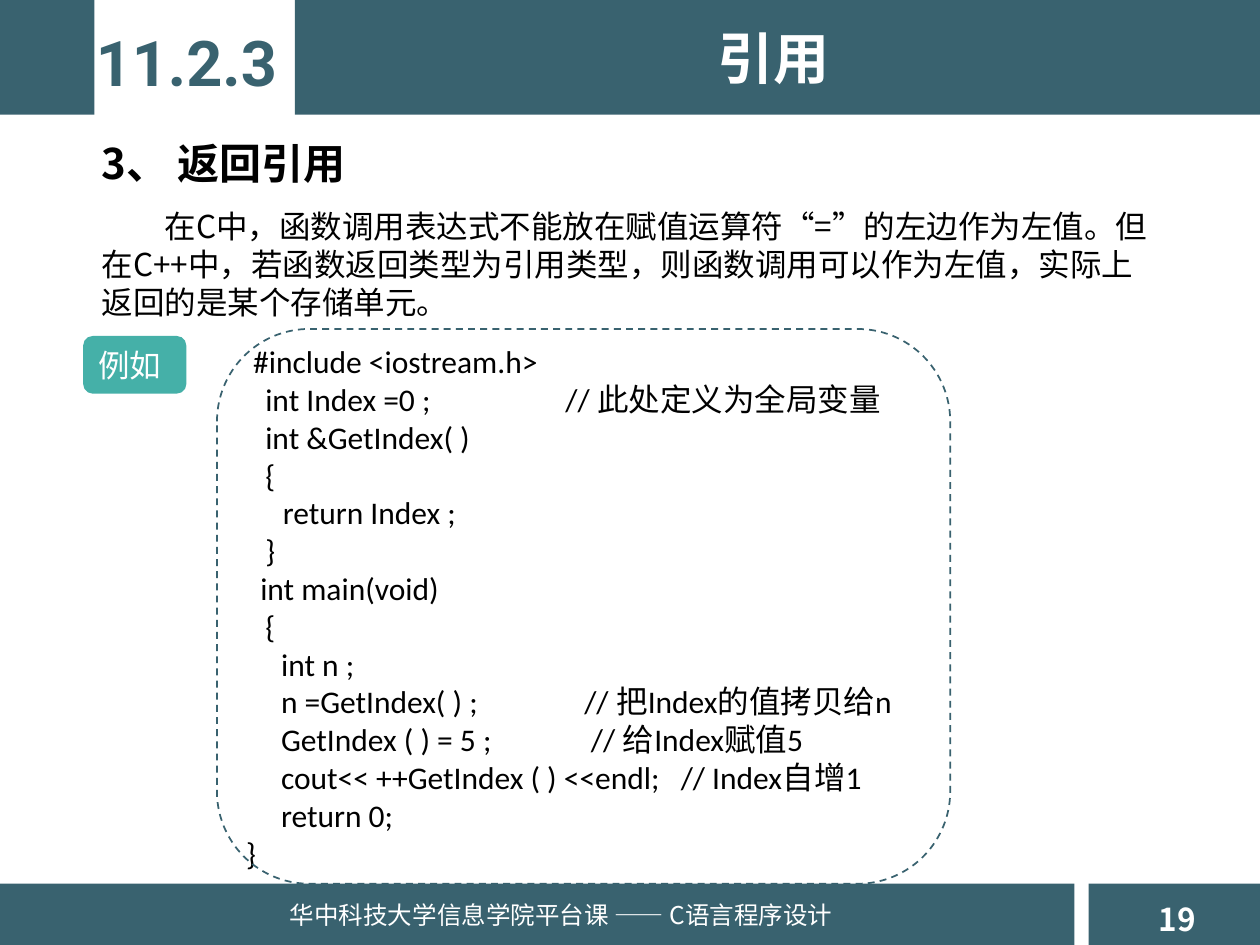
import pptx
import pptx.util
import pptx.dml.color
import pptx.enum.dml
import pptx.enum.shapes
import pptx.enum.text
import pptx.oxml
import pptx.oxml.ns

Pt = pptx.util.Pt
Kind = pptx.enum.shapes.MSO_SHAPE
Align = pptx.enum.text.PP_ALIGN
Fit = pptx.enum.text.MSO_AUTO_SIZE
Mid = pptx.enum.text.MSO_ANCHOR.MIDDLE
HAN = "Noto Sans CJK SC"
DARK, TEAL, WHITE, BLACK = "39626F", "45B0A8", "FFFFFF", "000000"

BARS = [(0, 0, 54, 65.5), (168.5, 0, 551.5, 65.5),
        (0, 505, 614, 35), (622, 505, 98, 35)]

CODE = [
    (0, " #include <iostream.h>"),
    (11, "int Index =0 ;                   // 此处定义为全局变量"),
    (11, "int &GetIndex( ) "),
    (11, "{"),
    (21, "return Index ;"),
    (11, "}"),
    (0, "  int main(void)"),
    (11, "{"),
    (20, "int n ;"),
    (20, "n =GetIndex( ) ;               // 把Index的值拷贝给n"),
    (20, "GetIndex ( ) = 5 ;              // 给Index赋值5"),
    (20, "cout<< ++GetIndex ( ) <<endl;   // Index自增1"),
    (20, "return 0;"),
    (0, "}"),
]


def paint(color, tone):
    color.rgb = pptx.dml.color.RGBColor.from_string(tone)


def style(part, form):
    for key, value in form.items():
        setattr(part, key, value)


def write(para, text, size, tone, face=HAN, **form):
    run = para.add_run()
    run.text = text
    style(run.font, {"size": Pt(size), "name": face, **form})
    paint(run.font.color, tone)
    east = pptx.oxml.parse_xml(
        f'<a:ea {pptx.oxml.ns.nsdecls("a")} typeface="{HAN}"/>')
    run.font._element.find(pptx.oxml.ns.qn("a:latin")).addnext(east)


def shape(slide, kind, box, fill=None):
    item = slide.shapes.add_shape(kind, *map(Pt, box))
    item.shadow.inherit = False
    if fill:
        item.fill.solid()
        paint(item.fill.fore_color, fill)
    else:
        item.fill.background()
    item.line.fill.background()
    return item


def frame(slide, box, wrap=True):
    text = slide.shapes.add_textbox(*map(Pt, box)).text_frame
    style(text, {"word_wrap": wrap, "auto_size": Fit.SHAPE_TO_FIT_TEXT})
    return text


def label(slide, box, text, size, tone, wrap=True, para=None, **form):
    line = frame(slide, box, wrap).paragraphs[0]
    style(line, para or {})
    write(line, text, size, tone, **form)


def body(slide, box, text):
    line = frame(slide, box).paragraphs[0]
    stops = pptx.oxml.parse_xml(
        f'<a:tabLst {pptx.oxml.ns.nsdecls("a")}>'
        f'<a:tab pos="{Pt(36)}" algn="l"/></a:tabLst>')
    line._p.get_or_add_pPr().append(stops)
    write(line, text, 18, BLACK)


def badge(slide, box, text):
    item = shape(slide, Kind.ROUNDED_RECTANGLE, box, TEAL)
    item.text_frame.vertical_anchor = Mid
    line = item.text_frame.paragraphs[0]
    line.alignment = Align.LEFT
    write(line, text, 18, WHITE)


def code(slide, box, rows):
    text = frame(slide, box)
    for spot, (indent, row) in enumerate(rows):
        line = text.add_paragraph() if spot else text.paragraphs[0]
        last = spot == len(rows) - 1
        line.alignment = Align.LEFT if last else Align.JUSTIFY
        line._p.get_or_add_pPr().set("indent", str(Pt(indent)))
        write(line, row, 18, BLACK, "Calibri")


def border(slide, box):
    line = shape(slide, Kind.ROUNDED_RECTANGLE, box).line
    paint(line.color, DARK)
    style(line, {"width": Pt(1),
                 "dash_style": pptx.enum.dml.MSO_LINE.DASH})


def main():
    deck = pptx.Presentation()
    style(deck, {"slide_width": Pt(720), "slide_height": Pt(540)})
    slide = deck.slides.add_slide(deck.slide_layouts[6])
    for bar in BARS:
        shape(slide, Kind.RECTANGLE, bar, DARK)
    mid = {"alignment": Align.CENTER}
    label(slide, (655, 510.5, 39.5, 29), "19", 18, WHITE, False, bold=True)
    label(slide, (158.5, 510.5, 331, 58),
          "华中科技大学信息学院平台课 —— C语言程序设计", 14, WHITE, False)
    label(slide, (47.5, 10, 118, 51), "11.2.3", 36, DARK, False, mid,
          face="Roboto", bold=True)
    label(slide, (208, 10, 468, 46), "引用", 32, WHITE, para=mid, bold=True)
    label(slide, (51, 60.5, 278, 51), "3、 返回引用", 24, BLACK,
          para={"line_spacing": 1.5}, bold=True)
    body(slide, (51, 115, 614, 73),
         "\t在C中，函数调用表达式不能放在赋值运算符“=”的左边作为左值。"
         "但在C++中，若函数返回类型为引用类型，则函数调用可以作为左值，"
         "实际上返回的是某个存储单元。")
    badge(slide, (47.5, 192, 59, 33), "例如")
    code(slide, (133.5, 192, 450, 312.5), CODE)
    border(slide, (124, 188, 419, 317))
    deck.save("out.pptx")


if __name__ == "__main__":
    main()
